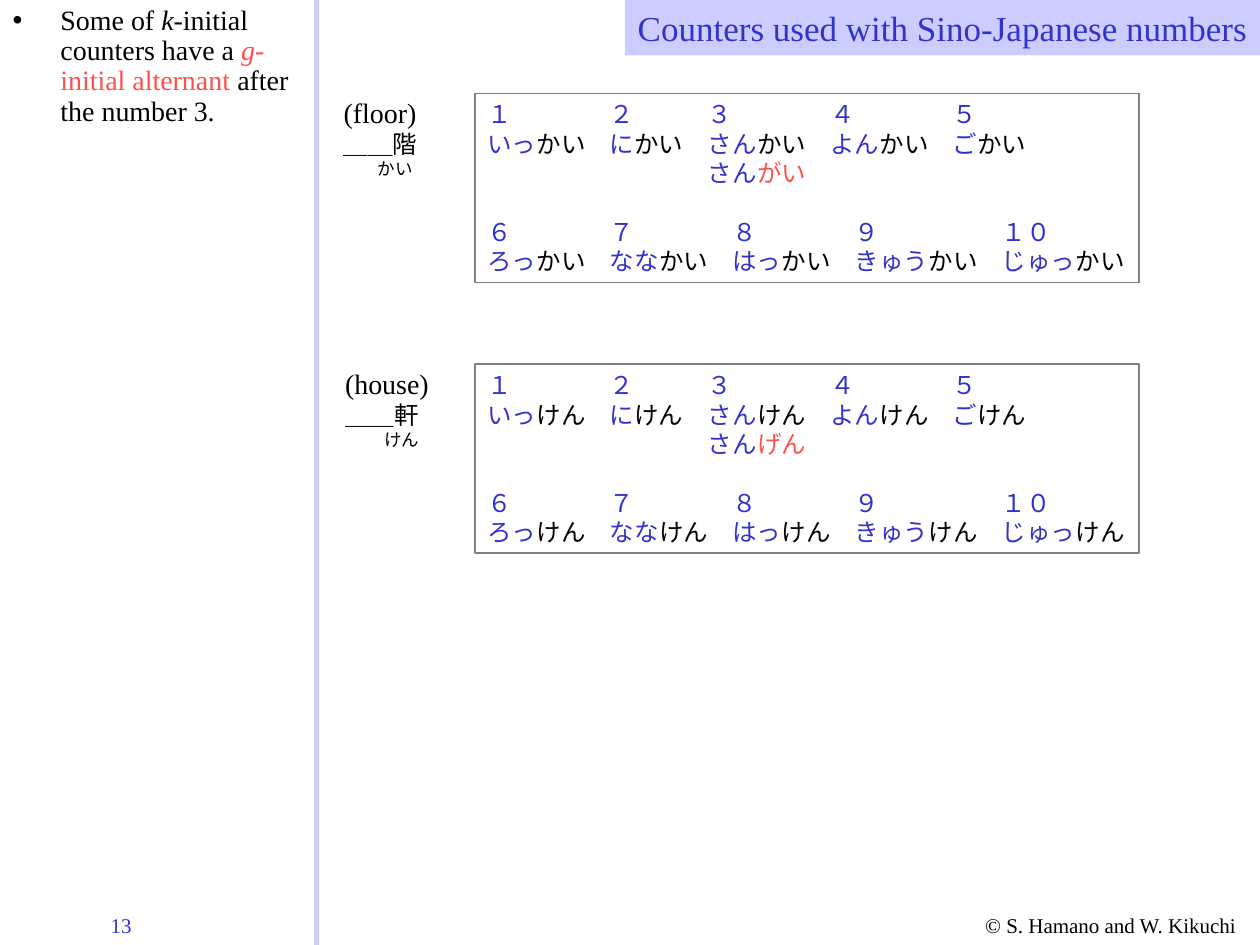
from lxml.etree import SubElement
from pptx import Presentation
from pptx.dml.color import RGBColor
from pptx.enum.shapes import MSO_CONNECTOR, MSO_SHAPE
from pptx.enum.text import MSO_ANCHOR, MSO_AUTO_SIZE, PP_ALIGN
from pptx.oxml.ns import qn
from pptx.util import Inches, Pt

BLACK = RGBColor(0x00, 0x00, 0x00)
BLUE = RGBColor(0x33, 0x33, 0xCC)
RED = RGBColor(0xFF, 0x50, 0x50)
LAVENDER = RGBColor(0xCC, 0xCC, 0xFF)
GRAY = RGBColor(0x80, 0x80, 0x80)
LATIN = "Times New Roman"
JAPANESE = "Noto Sans CJK JP"
KANA_SIZE = 14
KANA_WIDTH = KANA_SIZE / 72  # inches, one full-width character


def add_run(paragraph, text, size, color, font=LATIN, italic=False):
    run = paragraph.add_run()
    run.text = text
    run.font.size = Pt(size)
    run.font.name = font
    run.font.italic = italic
    run.font.color.rgb = color
    if font == JAPANESE:
        SubElement(run._r.get_or_add_rPr(), qn("a:ea"), typeface=font)


def add_text_box(left, top, width, height):
    shape = slide.shapes.add_textbox(
        Inches(left), Inches(top), Inches(width), Inches(height))
    shape.text_frame.word_wrap = True
    return shape.text_frame


presentation = Presentation()
presentation.slide_width = Inches(10)
presentation.slide_height = Inches(7.5)
slide = presentation.slides.add_slide(presentation.slide_layouts[1])

# Title band
title = slide.shapes.title
title.left, title.top = Inches(4.96), Inches(0)
title.width, title.height = Inches(5.04), Inches(0.44)
title.fill.solid()
title.fill.fore_color.rgb = LAVENDER
title.text_frame.auto_size = MSO_AUTO_SIZE.NONE
title.text_frame.word_wrap = False
title.text_frame.vertical_anchor = MSO_ANCHOR.TOP
paragraph = title.text_frame.paragraphs[0]
paragraph.alignment = PP_ALIGN.RIGHT
add_run(paragraph, "Counters used with Sino-Japanese numbers", 20, BLUE)

# Side note
note = slide.placeholders[1]
note.left, note.top = Inches(0), Inches(0)
note.width, note.height = Inches(2.51), Inches(1.2)
note.text_frame.auto_size = MSO_AUTO_SIZE.NONE
paragraph = note.text_frame.paragraphs[0]
paragraph.line_spacing = 0.9
paragraph.space_before = Pt(0)
properties = paragraph._p.get_or_add_pPr()
properties.set("marL", str(Inches(0.38)))
properties.set("indent", str(-Inches(0.38)))
SubElement(properties, qn("a:buChar"), char="•")
for text, color, italic in [
    ("Some of ", BLACK, False),
    ("k", BLACK, True),
    ("-initial counters have a ", BLACK, False),
    ("g", RED, True),
    ("-initial alternant", RED, False),
    (" after the number 3.", BLACK, False),
]:
    add_run(paragraph, text, 16, color, italic=italic)

# Divider
divider = slide.shapes.add_connector(
    MSO_CONNECTOR.STRAIGHT, Inches(2.51), Inches(0), Inches(2.51), Inches(7.5))
divider.line.color.rgb = LAVENDER
divider.line.width = Pt(3)
SubElement(divider._element.spPr, qn("a:effectLst"))

# Each row: tab columns in characters, then numerals or number stems
UPPER, LOWER = (0, 5, 9, 14, 19), (0, 5, 10, 15, 21)
ROWS = [
    ("numeral", UPPER, ["１", "２", "３", "４", "５"]),
    ("regular", UPPER, ["いっ", "に", "さん", "よん", "ご"]),
    ("voiced", (9,), ["さん"]),
    ("numeral", LOWER, ["６", "７", "８", "９", "１０"]),
    ("regular", LOWER, ["ろっ", "なな", "はっ", "きゅう", "じゅっ"]),
]
COUNTERS = [
    # meaning, kanji, reading, voiced reading, label left, reading indent, top
    ("(floor)", "階", "かい", "がい", 2.63, 0.27, 0.74),
    ("(house)", "軒", "けん", "げん", 2.64, 0.31, 2.89),
]

for meaning, kanji, reading, voiced, left, indent, top in COUNTERS:
    # Counter label
    label = add_text_box(left, top - 0.02, 1.1, 0.77)
    lines = [(meaning, 16, LATIN, 18.4), ("＿＿" + kanji, 14, JAPANESE, 16.8),
             (reading, 10, JAPANESE, 12)]
    for index, (text, size, font, spacing) in enumerate(lines):
        paragraph = label.add_paragraph() if index else label.paragraphs[0]
        paragraph.line_spacing = Pt(spacing)
        add_run(paragraph, text, size, BLACK, font)
    paragraph._p.get_or_add_pPr().set("marL", str(Inches(indent)))

    # Panel of numbers with the counter
    panel = slide.shapes.add_shape(
        MSO_SHAPE.RECTANGLE, Inches(3.77), Inches(top), Inches(5.27), Inches(1.5))
    panel.shadow.inherit = False
    panel.fill.background()
    panel.line.color.rgb = GRAY
    panel.line.width = Pt(0.75)
    frame = panel.text_frame
    frame.word_wrap = True
    frame.margin_right = 0
    frame.vertical_anchor = MSO_ANCHOR.TOP
    endings = {"regular": (reading, BLACK), "voiced": (voiced, RED)}
    for index, (kind, columns, stems) in enumerate(ROWS):
        paragraph = frame.add_paragraph() if index else frame.paragraphs[0]
        paragraph.alignment = PP_ALIGN.LEFT
        paragraph.line_spacing = Pt(16.8)
        if columns == LOWER and kind == "numeral":
            paragraph.space_before = Pt(16.8)
        tabs = SubElement(paragraph._p.get_or_add_pPr(), qn("a:tabLst"))
        for column in filter(None, columns):
            SubElement(tabs, qn("a:tab"), pos=str(Inches(column * KANA_WIDTH)), algn="l")
        for column, stem in zip(columns, stems):
            add_run(paragraph, ("\t" if column else "") + stem, KANA_SIZE, BLUE, JAPANESE)
            if kind in endings:
                add_run(paragraph, endings[kind][0], KANA_SIZE, endings[kind][1], JAPANESE)

# Footer
page_number = add_text_box(0.78, 7.19, 0.89, 0.3)
add_run(page_number.paragraphs[0], "13", 12, BLUE)
copyright_line = add_text_box(7.72, 7.19, 2.28, 0.3)
add_run(copyright_line.paragraphs[0], "© S. Hamano and W. Kikuchi", 12, BLACK)

presentation.save("out.pptx")
